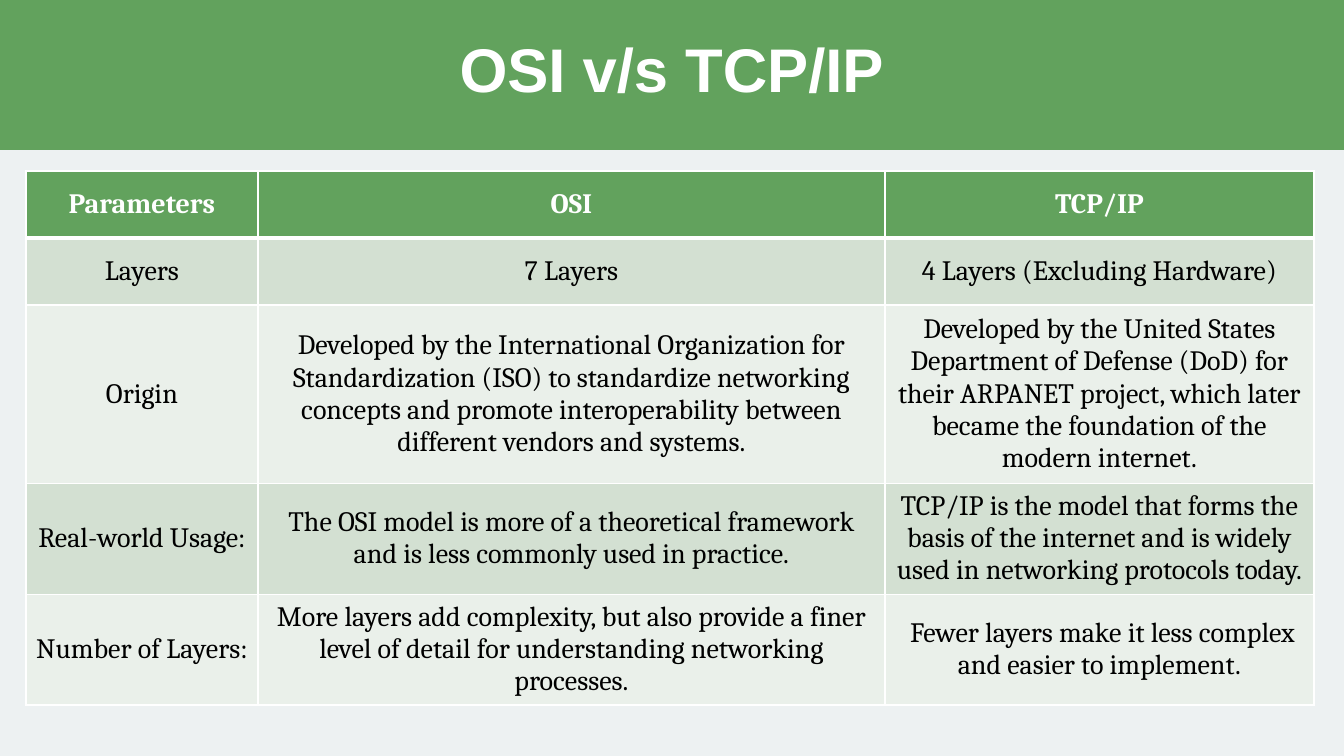
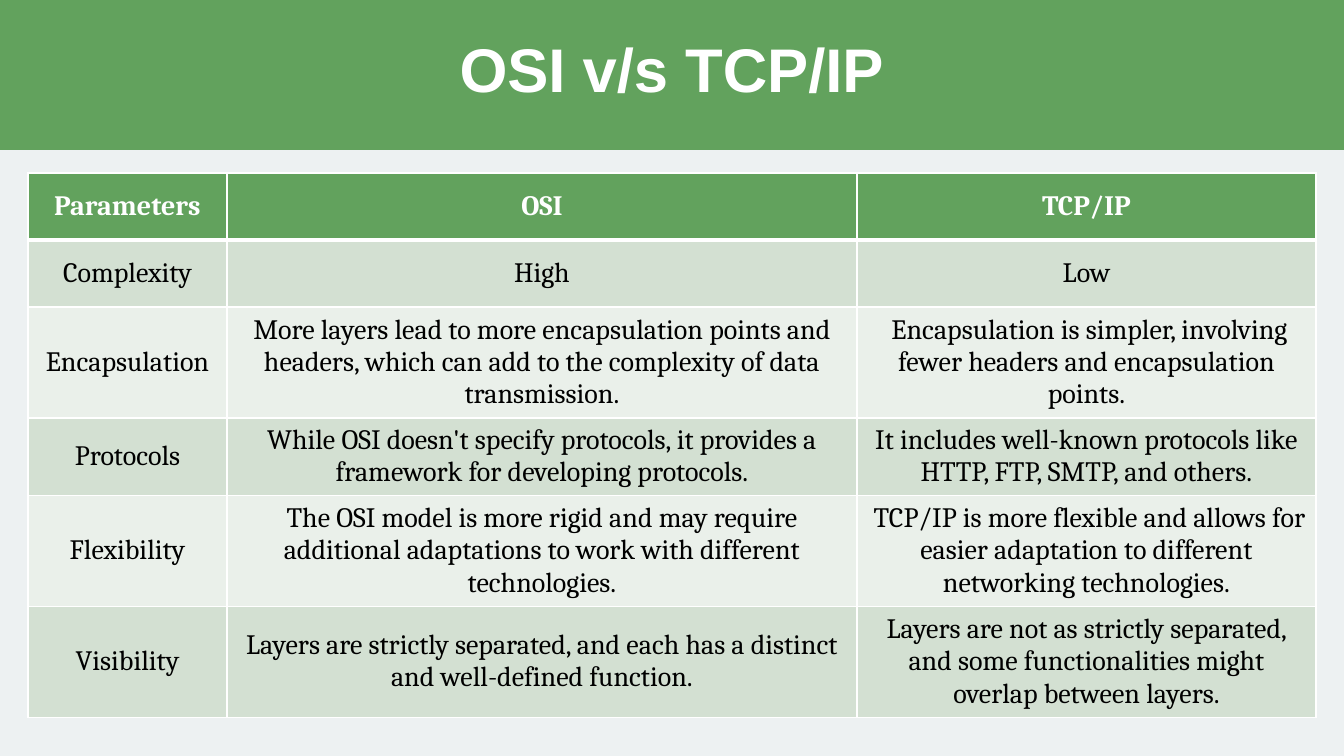
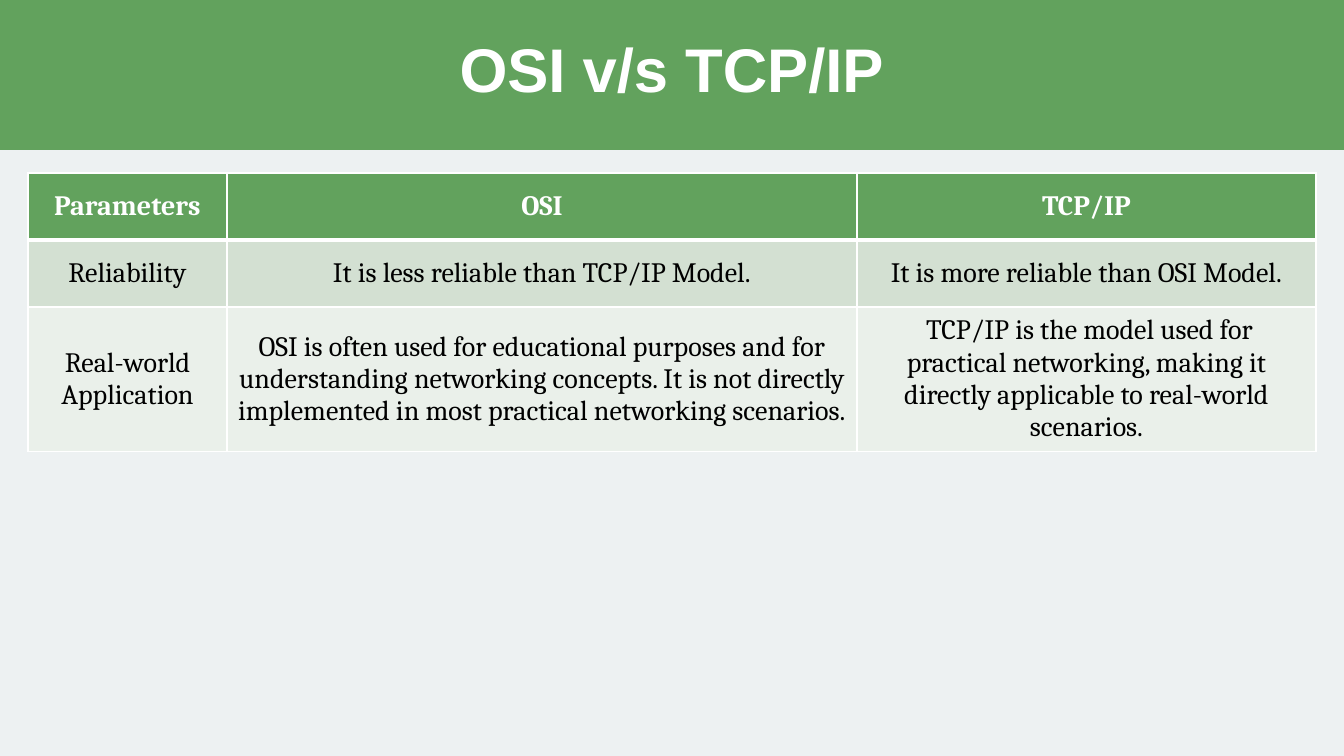
from pptx import Presentation
from pptx.dml.color import RGBColor
from pptx.enum.shapes import MSO_SHAPE
from pptx.enum.text import MSO_ANCHOR, PP_ALIGN
from pptx.oxml import parse_xml
from pptx.oxml.ns import nsdecls
from pptx.util import Pt

EMU_PER_PX = 12192000 / 1344
SLIDE_WIDTH, SLIDE_HEIGHT = 1344, 756
BAND_HEIGHT, TITLE_HEIGHT = 150, 146
ROW_HEIGHT = 67

GREEN = RGBColor(0x62, 0xA2, 0x5D)
BACKDROP = RGBColor(0xED, 0xF1, 0xF2)
DARK_STRIPE = RGBColor(0xD3, 0xE0, 0xD2)
LIGHT_STRIPE = RGBColor(0xEA, 0xF0, 0xEA)
WHITE = RGBColor(0xFF, 0xFF, 0xFF)
BLACK = RGBColor(0x00, 0x00, 0x00)

TITLE = "OSI v/s TCP/IP"
TITLE_FONT = {"name": "Arial", "size": Pt(44), "bold": True}
HEADER_FONT = {"name": "Cambria", "size": Pt(20), "bold": True}
BODY_FONT = {**HEADER_FONT, "bold": False}
HEADER = ("Parameters", "OSI", "TCP/IP")

ORIGIN_AND_USAGE = [
    ("Layers", "7 Layers", "4 Layers (Excluding Hardware)"),
    ("Origin",
     "Developed by the International Organization for Standardization (ISO) to standardize "
     "networking concepts and promote interoperability between different vendors and systems.",
     "Developed by the United States Department of Defense (DoD) for their ARPANET project, "
     "which later became the foundation of the modern internet."),
    ("Real-world Usage:",
     "The OSI model is more of a theoretical framework and is less commonly used in practice.",
     "TCP/IP is the model that forms the basis of the internet and is widely used in "
     "networking protocols today."),
    ("Number of Layers:",
     "More layers add complexity, but also provide a finer level of detail for understanding "
     "networking processes.",
     " Fewer layers make it less complex and easier to implement."),
]
DESIGN = [
    ("Complexity", "High", "Low"),
    ("Encapsulation",
     "More layers lead to more encapsulation points and headers, which can add to the "
     "complexity of data transmission.",
     " Encapsulation is simpler, involving fewer headers and encapsulation points."),
    ("Protocols",
     "While OSI doesn't specify protocols, it provides a framework for developing protocols.",
     "It includes well-known protocols like HTTP, FTP, SMTP, and others."),
    ("Flexibility",
     "The OSI model is more rigid and may require additional adaptations to work with "
     "different technologies.",
     " TCP/IP is more flexible and allows for easier adaptation to different networking "
     "technologies."),
    ("Visibility",
     "Layers are strictly separated, and each has a distinct and well-defined function.",
     "Layers are not as strictly separated, and some functionalities might overlap between "
     "layers."),
]
PRACTICE = [
    ("Reliability", "It is less reliable than TCP/IP Model.", "It is more reliable than OSI Model."),
    ("Real-world Application",
     "OSI is often used for educational purposes and for understanding networking concepts. "
     "It is not directly implemented in most practical networking scenarios.",
     " TCP/IP is the model used for practical networking, making it directly applicable to "
     "real-world scenarios."),
]

WIDE_LABELS = {"left": 26, "top": 171, "widths": (232, 627, 429)}
NARROW_LABELS = {"left": 28, "top": 173, "widths": (199, 630, 459)}
COMPARISONS = [
    (ORIGIN_AND_USAGE, WIDE_LABELS),
    (DESIGN, NARROW_LABELS),
    (PRACTICE, NARROW_LABELS),
]


def px(length):
    return round(length * EMU_PER_PX)


def set_all(target, values):
    for name, value in values.items():
        setattr(target, name, value)


def paint(fill, color):
    fill.solid()
    fill.fore_color.rgb = color


def write_centred(frame, text, font, color):
    paragraph = frame.paragraphs[0]
    paragraph.alignment = PP_ALIGN.CENTER
    run = paragraph.add_run()
    run.text = text
    set_all(run.font, font)
    run.font.color.rgb = color
    return paragraph


def add_title_band(slide):
    band = slide.shapes.add_shape(MSO_SHAPE.RECTANGLE, 0, 0, px(SLIDE_WIDTH), px(BAND_HEIGHT))
    band.shadow.inherit = False
    paint(band.fill, GREEN)
    band.line.fill.background()
    title = slide.shapes.add_textbox(0, 0, px(SLIDE_WIDTH), px(TITLE_HEIGHT))
    set_all(title.text_frame, {"word_wrap": True, "vertical_anchor": MSO_ANCHOR.MIDDLE})
    write_centred(title.text_frame, TITLE, TITLE_FONT, WHITE).line_spacing = 0.9


def add_borders(cell, top, bottom):
    properties = cell._tc.get_or_add_tcPr()
    for side, points in (("L", 1), ("R", 1), ("T", top), ("B", bottom)):
        properties.append(parse_xml(
            f'<a:ln{side} {nsdecls("a")} w="{Pt(points)}"><a:solidFill>'
            f'<a:srgbClr val="{WHITE}"/></a:solidFill></a:ln{side}>'))


def fill_cell(cell, text, row):
    is_header = row == 0
    add_borders(cell, top=3 if row == 1 else 1, bottom=3 if is_header else 1)
    stripe = DARK_STRIPE if row % 2 else LIGHT_STRIPE
    paint(cell.fill, GREEN if is_header else stripe)
    cell.vertical_anchor = MSO_ANCHOR.MIDDLE
    write_centred(cell.text_frame, text, HEADER_FONT if is_header else BODY_FONT,
                  WHITE if is_header else BLACK)


def add_comparison(slide, body, left, top, widths):
    rows = [HEADER, *body]
    table = slide.shapes.add_table(len(rows), len(widths), px(left), px(top),
                                   px(sum(widths)), px(ROW_HEIGHT * len(rows))).table
    for column, width in zip(table.columns, widths):
        column.width = px(width)
    for row, texts in enumerate(rows):
        for column, text in enumerate(texts):
            fill_cell(table.cell(row, column), text, row)


def main():
    deck = Presentation()
    set_all(deck, {"slide_width": px(SLIDE_WIDTH), "slide_height": px(SLIDE_HEIGHT)})
    paint(deck.slide_master.background.fill, BACKDROP)
    for body, placement in COMPARISONS:
        slide = deck.slides.add_slide(deck.slide_layouts[6])
        add_title_band(slide)
        add_comparison(slide, body, **placement)
    deck.save("out.pptx")


if __name__ == "__main__":
    main()
